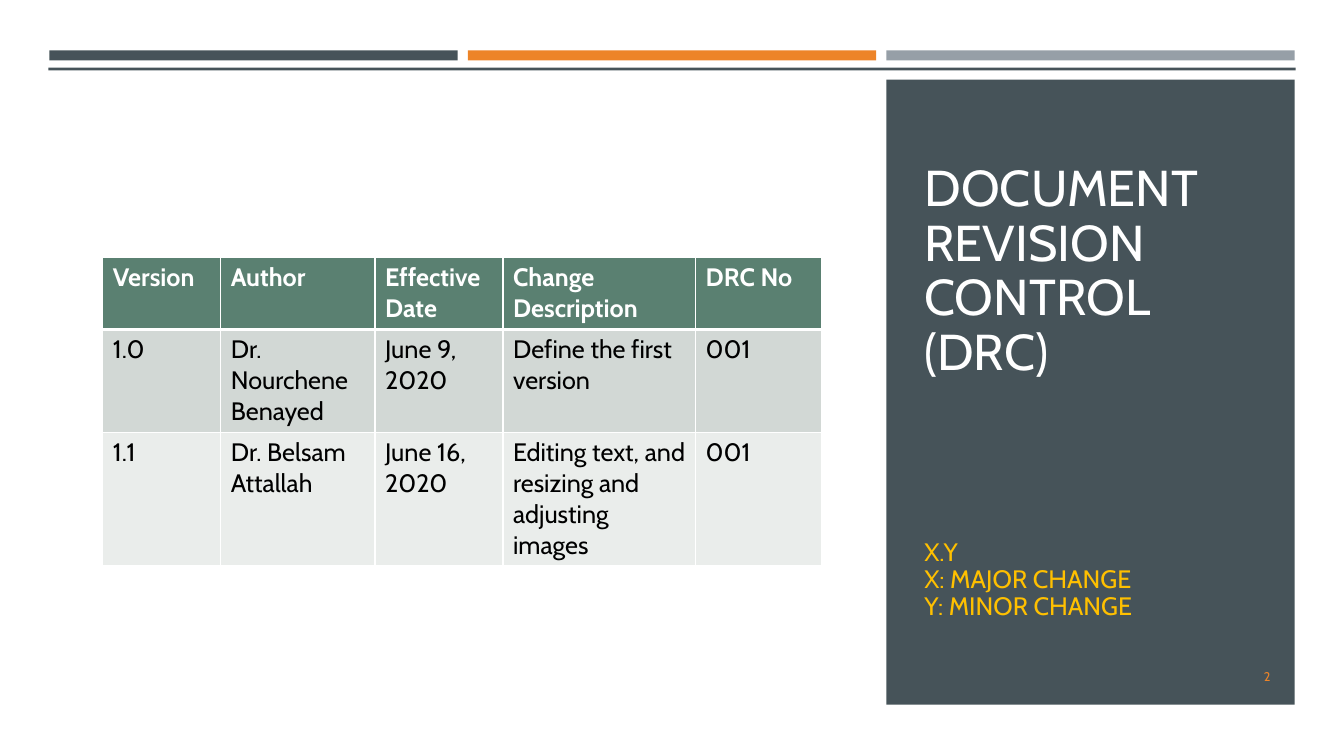
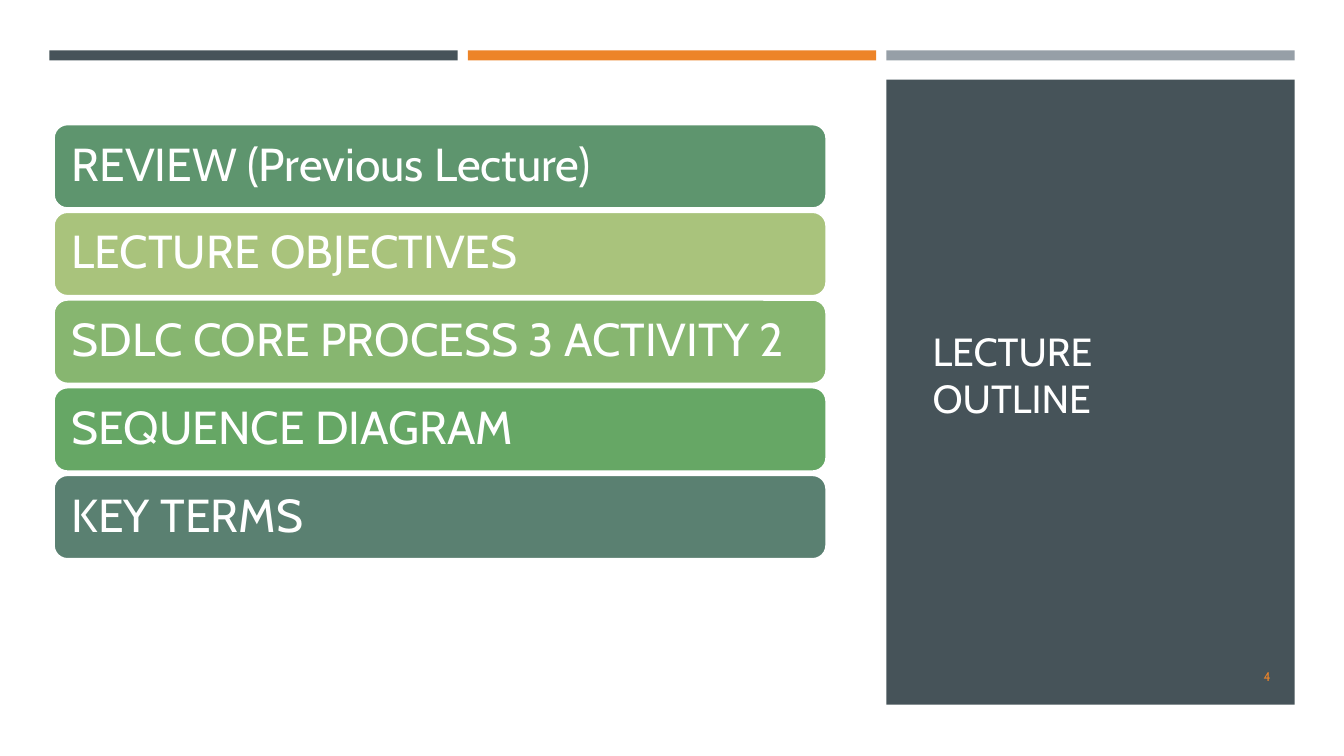
from dataclasses import dataclass

from lxml import etree
from pptx import Presentation
from pptx import util as u
from pptx.dml.color import RGBColor
from pptx.enum import shapes, text
from pptx.oxml import ns


@dataclass(frozen=True)
class Theme:
    """Colours, font and type sizes of the deck."""
    font: str = "Cabin"
    slate: str = "465359"
    orange: str = "ED8428"
    grey: str = "969FA7"
    white: str = "FFFFFF"
    black: str = "000000"
    amber: str = "FFC000"
    header: str = "5A8071"
    rows: tuple = ("D2D8D5", "EAEDEB")
    bars: tuple = ("5E956E", "A9C37C", "87B670", "66A765", "5A8071")
    title: int = 36
    small_title: int = 28
    bar: int = 33
    body: int = 18
    number: int = 9


T = Theme()
LEFT, BAND_W, BAND_STEP = 0.49, 4.05, 4.15
PANEL = (LEFT + 2 * BAND_STEP, 0.79, BAND_W, 6.2)


def box(left, top, width, height):
    """Return a box given in inches as lengths."""
    return [u.Inches(v) for v in (left, top, width, height)]


def style(p, size, color, bold=False, spacing=None, align=text.PP_ALIGN.LEFT):
    """Format one paragraph."""
    p.alignment = align
    p.line_spacing = spacing
    f = p.font
    f.name, f.size, f.bold = T.font, u.Pt(size), bold
    f.color.rgb = RGBColor.from_string(color)


def write(tf, lines, anchor, size, color, **options):
    """Fill a text frame with one paragraph per line."""
    tf.word_wrap = True
    tf.auto_size = text.MSO_AUTO_SIZE.NONE
    tf.vertical_anchor = anchor
    for i, line in enumerate(lines):
        p = tf.add_paragraph() if i else tf.paragraphs[0]
        p.text = line
        style(p, size, color, **options)


def add_block(s, area, color, kind=shapes.MSO_SHAPE.RECTANGLE):
    """Add a flat filled shape without an outline."""
    sp = s.shapes.add_shape(kind, *box(*area))
    sp.shadow.inherit = False
    sp.fill.solid()
    sp.fill.fore_color.rgb = RGBColor.from_string(color)
    sp.line.fill.background()
    return sp


def add_text(s, area, lines, anchor, size, color, **options):
    """Add a text box."""
    sp = s.shapes.add_textbox(*box(*area))
    write(sp.text_frame, lines, anchor, size, color, **options)


def add_frame(prs, number):
    """Add a slide with the top bands, side panel and slide number."""
    s = prs.slides.add_slide(prs.slide_layouts[5])
    for i, color in enumerate((T.slate, T.orange, T.grey)):
        add_block(s, (LEFT + i * BAND_STEP, 0.5, BAND_W, 0.1), color)
    add_block(s, PANEL, T.slate)
    x, y, w, h = PANEL
    add_text(s, (x + w - 1.29, y + h - 0.48, 1.15, 0.4), [number],
             text.MSO_ANCHOR.MIDDLE, T.number, T.orange,
             align=text.PP_ALIGN.RIGHT)
    return s


def set_title(s, area, title, anchor, size, spacing=None):
    """Place the title placeholder in front of the panel."""
    sp = s.shapes.title
    s.shapes.element.append(sp.element)
    sp.left, sp.top, sp.width, sp.height = box(*area)
    write(sp.text_frame, [title], anchor, size, T.white, spacing=spacing)


def set_borders(cell, **widths):
    """Draw white cell borders with widths in points."""
    tc_pr = cell._tc.get_or_add_tcPr()
    for side in "LRTB":
        ln = etree.SubElement(tc_pr, ns.qn(f"a:ln{side}"),
                              w=str(u.Pt(widths.get(side, 1))))
        fill = etree.SubElement(ln, ns.qn("a:solidFill"))
        etree.SubElement(fill, ns.qn("a:srgbClr"), val=T.white)


def add_revision_table(s, left, top, widths, heights, rows):
    """Add the revision table with a header row and tinted rows."""
    area = box(left, top, sum(widths), sum(heights))
    table = s.shapes.add_table(len(rows), len(widths), *area).table
    for col, width in zip(table.columns, widths):
        col.width = u.Inches(width)
    for r, (row, height) in enumerate(zip(rows, heights)):
        table.rows[r].height = u.Inches(height)
        head = r == 0
        for c, value in enumerate(row):
            cell = table.cell(r, c)
            set_borders(cell, T=3 if r == 1 else 1, B=3 if head else 1)
            cell.fill.solid()
            cell.fill.fore_color.rgb = RGBColor.from_string(
                T.header if head else T.rows[(r - 1) % 2])
            cell.text = value
            style(cell.text_frame.paragraphs[0], T.body,
                  T.white if head else T.black, bold=head)


def add_outline(s, left, top, width, height, step, items):
    """Stack one rounded bar per outline item."""
    for i, (item, color) in enumerate(zip(items, T.bars)):
        sp = add_block(s, (left, top + i * step, width, height), color,
                       shapes.MSO_SHAPE.ROUNDED_RECTANGLE)
        sp.line.color.rgb = RGBColor.from_string(T.white)
        sp.line.width = u.Pt(2)
        tf = sp.text_frame
        tf.margin_left = tf.margin_right = u.Inches(0.14)
        write(tf, [item], text.MSO_ANCHOR.MIDDLE, T.bar, T.white, spacing=0.9)


def revision_slide(prs):
    """Build the document revision control slide."""
    s = add_frame(prs, "2")
    add_block(s, (0.48, 0.67, 12.37, 0.03), T.slate)
    x, y = PANEL[:2]
    set_title(s, (x + 0.28, y + 0.76, 3.37, 2.28),
              "DOCUMENT REVISION CONTROL (DRC)",
              text.MSO_ANCHOR.BOTTOM, T.title, 0.9)
    add_revision_table(
        s, 1.02, 2.55, (1.17, 1.53, 1.27, 1.91, 1.25), (0.72, 1.02, 1.32),
        (("Version", "Author", "Effective Date", "Change Description",
          "DRC No"),
         ("1.0", "Dr. Nourchene Benayed", "June 9, 2020",
          "Define the first version", "001"),
         ("1.1", "Dr. Belsam Attallah", "June 16, 2020",
          "Editing text, and resizing and adjusting images", "001")))
    add_text(s, (x + 0.28, y + 4.3, 3.37, 1.12),
             ("X.Y", "X: MAJOR CHANGE", "Y: MINOR CHANGE"),
             text.MSO_ANCHOR.BOTTOM, T.body, T.amber, spacing=0.9)


def outline_slide(prs):
    """Build the lecture outline slide."""
    s = add_frame(prs, "4")
    x, y = PANEL[:2]
    set_title(s, (x + 0.36, y + 0.35, 3.34, 5.15), "LECTURE OUTLINE",
              text.MSO_ANCHOR.MIDDLE, T.small_title)
    add_outline(s, 0.53, 1.23, 7.67, 0.84, 0.87,
                ("REVIEW (Previous Lecture)", "LECTURE OBJECTIVES",
                 "SDLC CORE PROCESS 3 ACTIVITY 2", "SEQUENCE DIAGRAM",
                 "KEY TERMS"))


def main():
    """Build and save the deck."""
    prs = Presentation()
    prs.slide_width, prs.slide_height = u.Inches(13.33), u.Inches(7.5)
    revision_slide(prs)
    outline_slide(prs)
    prs.save("out.pptx")


if __name__ == "__main__":
    main()
